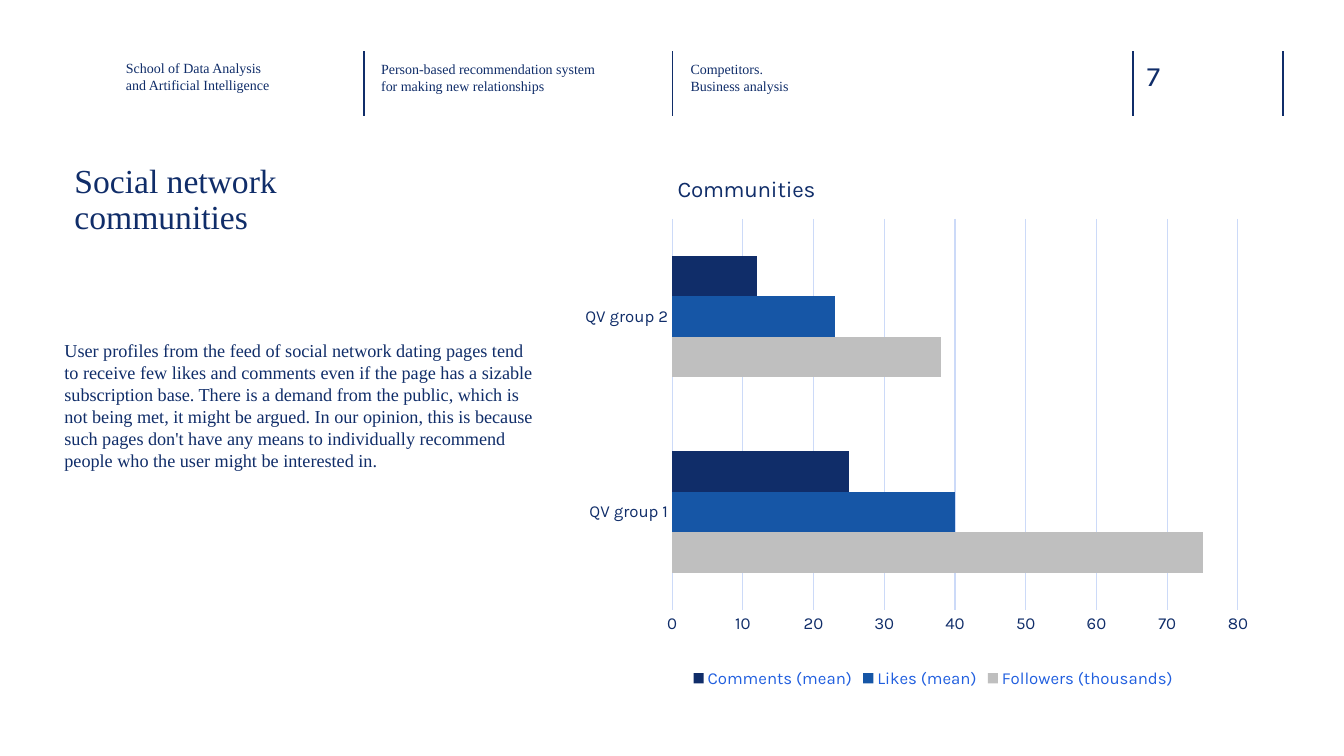
from collections import namedtuple

from pptx import Presentation
from pptx.chart.data import CategoryChartData as ChartData
from pptx.dml.color import RGBColor
from pptx.enum.chart import XL_CHART_TYPE as ChartType
from pptx.enum.chart import XL_LEGEND_POSITION as LegendPosition
from pptx.enum.chart import XL_TICK_MARK as TickMark
from pptx.enum.shapes import MSO_CONNECTOR as Connector
from pptx.enum.text import MSO_ANCHOR as Anchor
from pptx.enum.text import MSO_AUTO_SIZE as AutoSize
from pptx.enum.text import PP_ALIGN as Align
from pptx.oxml import parse_xml
from pptx.oxml.ns import nsdecls, qn
from pptx.util import Pt

Box = namedtuple("Box", "left top width height")

NAVY = "102D69"
BLUE = "1656A6"
GREY = "BFBFBF"
PALE = "CCDAF8"
LEGEND_BLUE = "215FDF"
SERIF = "Times New Roman"
SANS = "Karla"


def color(value):
    return RGBColor.from_string(value)


def style_font(font, size, name=SANS, fill=NAVY):
    font.size = Pt(size)
    font.name = name
    font.bold = False
    font.color.rgb = color(fill)


def place(shape, box):
    shape.left, shape.top, shape.width, shape.height = map(Pt, box)


def write(shape, text, size, name=SERIF, insets=(0, 0, 0, 0), spacing=1.0):
    frame = shape.text_frame
    frame.word_wrap = True
    frame.auto_size = AutoSize.NONE
    frame.vertical_anchor = Anchor.TOP
    (frame.margin_left, frame.margin_top,
     frame.margin_right, frame.margin_bottom) = map(Pt, insets)
    for index, line in enumerate(text.split("\n")):
        para = frame.add_paragraph() if index else frame.paragraphs[0]
        properties = para._p.get_or_add_pPr()
        properties.set("marL", "0")
        properties.set("indent", "0")
        properties.append(parse_xml(f"<a:buNone {nsdecls('a')}/>"))
        para.alignment = Align.LEFT
        para.line_spacing = spacing
        para.space_before = Pt(0)
        span = para.add_run()
        span.text = line
        style_font(span.font, size, name)


def add_header(page, box):
    for offset in (0, 220.25, 549.25, 656.5):
        x = Pt(box.left + offset)
        rule = page.shapes.add_connector(
            Connector.STRAIGHT, x, Pt(box.top), x, Pt(box.top + box.height))
        rule.line.color.rgb = color(NAVY)
        rule.line.width = Pt(1)
        rule._element.spPr.append(parse_xml(f"<a:effectLst {nsdecls('a')}/>"))

    labels = [
        (-170, 5.75, 150, 10, SERIF, "School of Data Analysis\nand Artificial Intelligence"),
        (12.25, 6.5, 162.75, 10, SERIF,
         "Person-based recommendation system for making new relationships"),
        (233.25, 6.5, 162.75, 10, SERIF, "Competitors.\nBusiness analysis"),
        (559.25, 5, 52.5, 20, SANS, "7"),
    ]
    for left, top, width, size, name, text in labels:
        label = page.shapes.add_textbox(
            Pt(box.left + left), Pt(box.top + top), Pt(width), Pt(32.5))
        write(label, text, size, name)


def add_story(page, box):
    title = page.shapes.title
    place(title, Box(box.left, box.top, 844, 61))
    write(title, "Social network\ncommunities", 24,
          insets=(7.2, 3.6, 7.2, 3.6), spacing=0.9)

    body = page.placeholders[1]
    place(body, Box(box.left, box.top + 128.75, box.width, box.height - 128.75))
    write(body, "User profiles from the feed of social network dating pages tend "
          "to receive few likes and comments even if the page has a sizable "
          "subscription base. There is a demand from the public, which is not "
          "being met, it might be argued. In our opinion, this is because such "
          "pages don't have any means to individually recommend people who the "
          "user might be interested in.", 13, insets=(0, 0, 0, 3.6))


def set_layout(parent, index, inner=False, **fractions):
    for old in parent.findall(qn("c:layout")):
        parent.remove(old)
    target = '<c:layoutTarget val="inner"/>' if inner else ""
    modes = '<c:xMode val="edge"/><c:yMode val="edge"/>'
    values = "".join(f'<c:{key} val="{value}"/>' for key, value in fractions.items())
    parent.insert(index, parse_xml(
        f"<c:layout {nsdecls('c')}><c:manualLayout>{target}{modes}{values}"
        "</c:manualLayout></c:layout>"))


def style_axis(axis):
    axis.major_tick_mark = TickMark.NONE
    axis.minor_tick_mark = TickMark.NONE
    style_font(axis.tick_labels.font, 12)


def add_communities_chart(page, box):
    data = ChartData()
    data.categories = ["QV group 1", "QV group 2"]
    series_colors = []
    for name, values, fill in [
        ("Followers (thousands)", (75, 38), GREY),
        ("Likes (mean)", (40, 23), BLUE),
        ("Comments (mean)", (25, 12), NAVY),
    ]:
        data.add_series(name, values)
        series_colors.append(fill)
    chart = page.shapes.add_chart(
        ChartType.BAR_CLUSTERED, *map(Pt, box), data).chart
    style_font(chart.font, 10, "Arial")

    chart.has_title = True
    span = chart.chart_title.text_frame.paragraphs[0].add_run()
    span.text = "Communities"
    style_font(span.font, 16)
    set_layout(chart.chart_title._element, 1, x=0.136, y=0.02)

    plot = chart.plots[0]
    plot.gap_width = 182
    plot.overlap = 0
    plot.vary_by_categories = False
    for series, fill in zip(plot.series, series_colors):
        series.format.fill.solid()
        series.format.fill.fore_color.rgb = color(fill)
    set_layout(chart._chartSpace.chart.plotArea, 0, inner=True,
               x=0.134, y=0.11, w=0.793, h=0.735)

    categories, values = chart.category_axis, chart.value_axis
    style_axis(categories)
    style_axis(values)
    values.minimum_scale, values.maximum_scale, values.major_unit = 0, 80, 10
    values.format.line.fill.background()
    values.has_major_gridlines = True
    for line in (categories.format.line, values.major_gridlines.format.line):
        line.color.rgb = color(PALE)
        line.width = Pt(0.75)

    chart.has_legend = True
    chart.legend.position = LegendPosition.BOTTOM
    chart.legend.include_in_layout = False
    style_font(chart.legend.font, 12, fill=LEGEND_BLUE)


def main():
    deck = Presentation()
    deck.slide_width, deck.slide_height = Pt(960), Pt(540)
    page = deck.slides.add_slide(deck.slide_layouts[1])
    add_header(page, Box(260, 36.75, 656.5, 46))
    add_communities_chart(page, Box(411.75, 114.5, 509.75, 380))
    add_story(page, Box(46, 113.75, 340.5, 312.5))
    deck.save("out.pptx")


if __name__ == "__main__":
    main()
